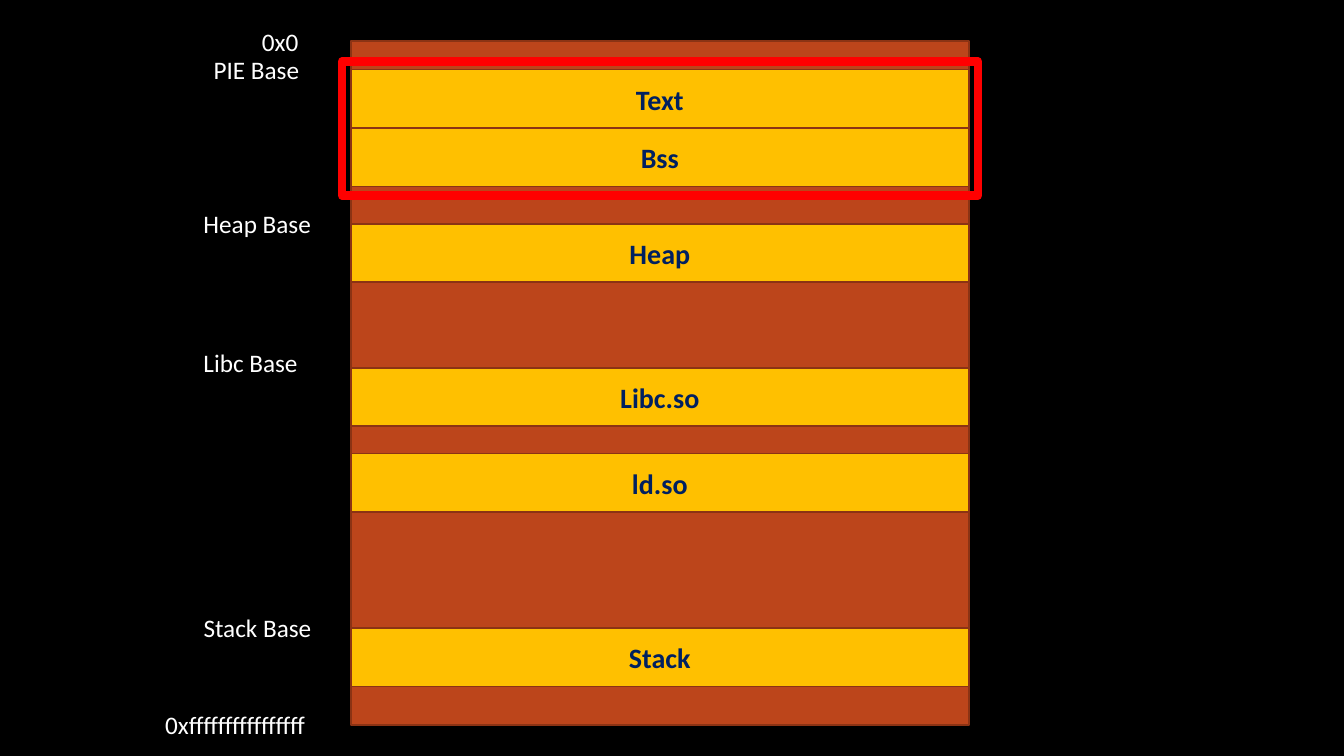
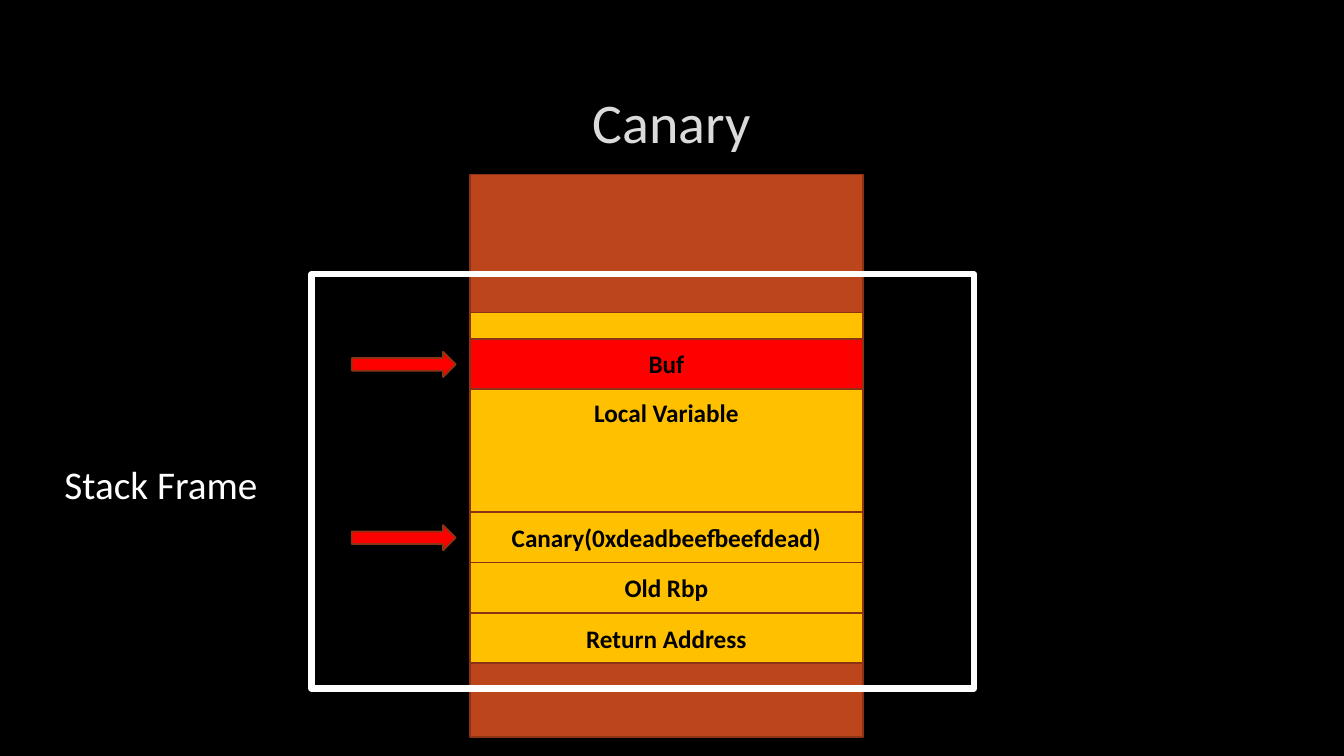
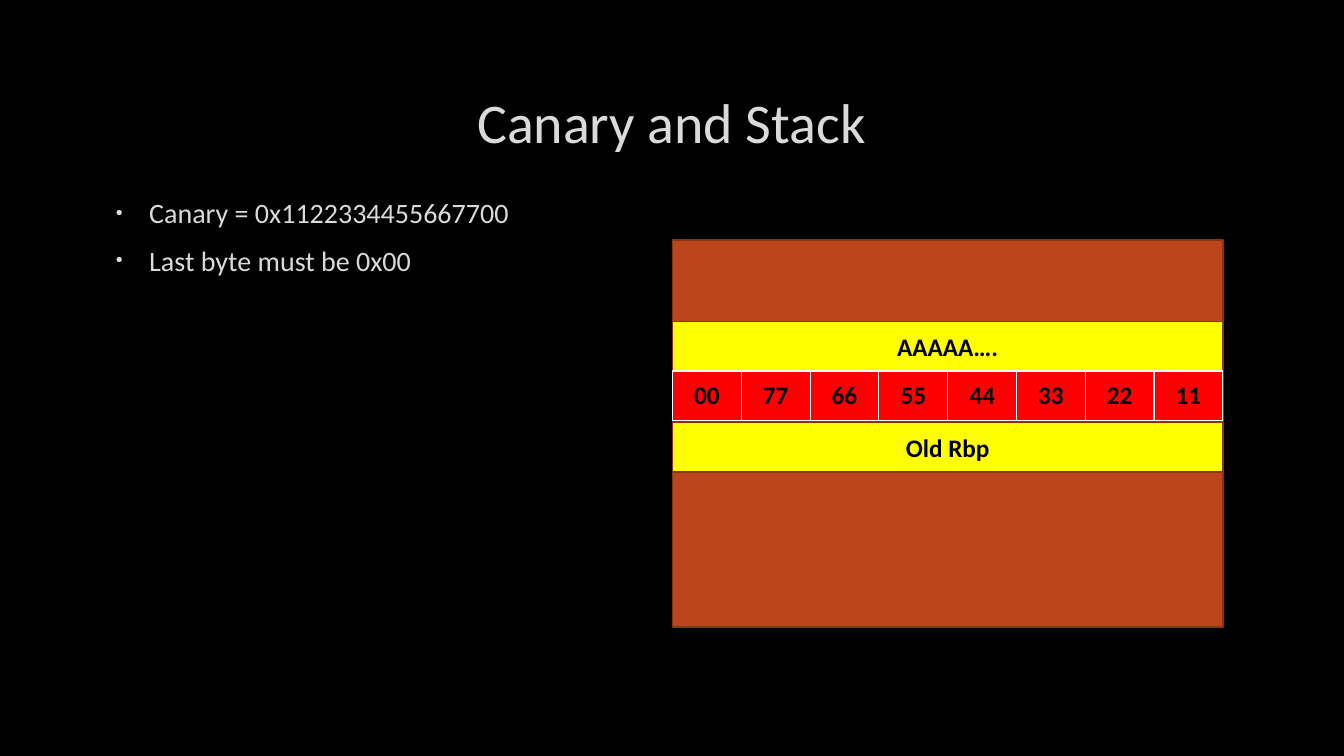
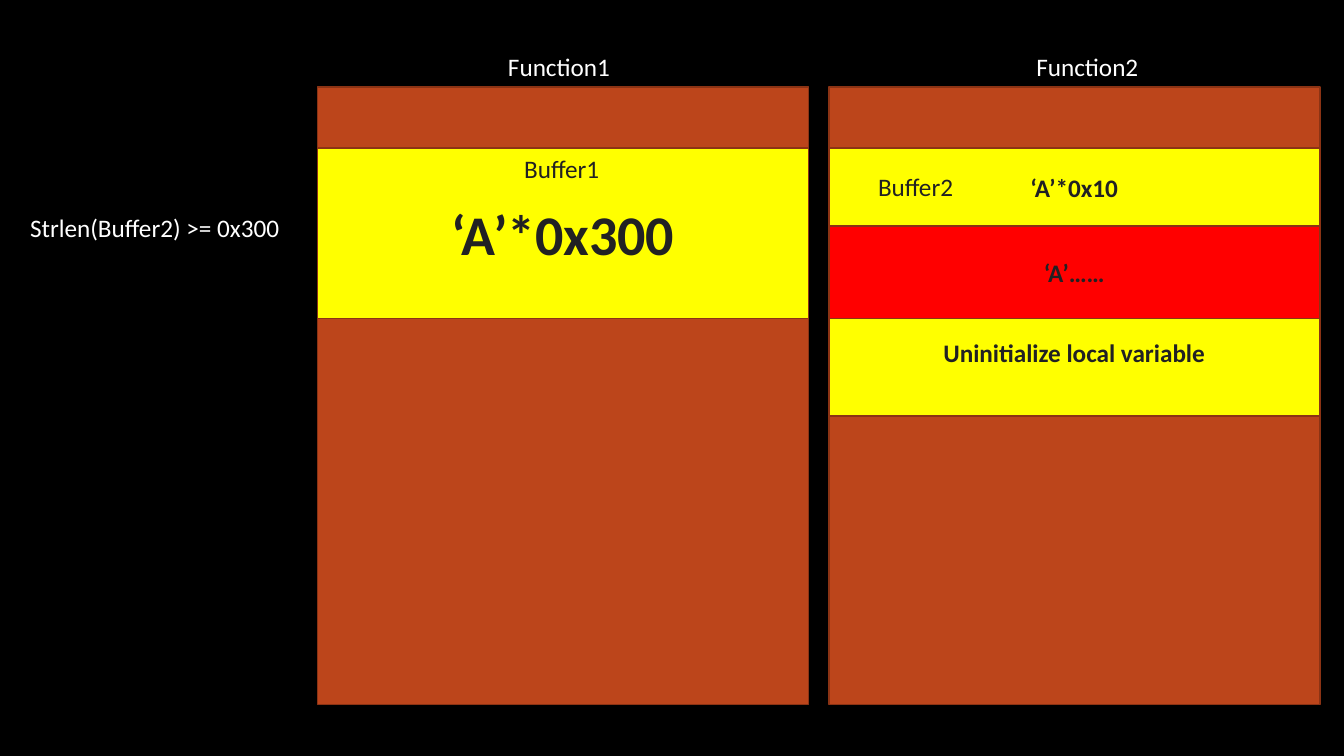
from lxml import etree
from pptx import Presentation
from pptx.dml.color import RGBColor
from pptx.enum import shapes, text
from pptx.oxml import ns
from pptx.util import Inches, Pt

BLACK, WHITE, RED = "000000", "FFFFFF", "FF0000"
UNMAPPED, EDGE = "BC451B", "8B3314"
AMBER, YELLOW = "FFC000", "FFFF00"
NAVY, PALE, CHARCOAL = "002060", "DADADA", "212123"
FONT = "Calibri"
LABEL_HEIGHT = 0.4
TITLE_AREA = (1, 0.67, 11.32, 1.06)
TITLE_ONLY, TITLE_AND_BODY, BLANK = 5, 1, 6


def rgb(value):
    return RGBColor.from_string(value)


def apply(target, values):
    for name, value in values.items():
        setattr(target, name, value)


def inches(area):
    return [Inches(length) for length in area]


def write(paragraph, words, size, color, bold=False):
    run = paragraph.add_run()
    run.text = words
    apply(run.font, {"name": FONT, "size": Pt(size), "bold": bold})
    run.font.color.rgb = rgb(color)


def add_block(slide, area, fill=None, line=EDGE, weight=1.25,
              preset=shapes.MSO_SHAPE.RECTANGLE):
    block = slide.shapes.add_shape(preset, *inches(area))
    block.shadow.inherit = False
    if fill:
        block.fill.solid()
        block.fill.fore_color.rgb = rgb(fill)
    else:
        block.fill.background()
    block.line.color.rgb = rgb(line)
    block.line.width = Pt(weight)
    return block


def add_segment(slide, area, words, fill, size=18, color=BLACK, inset=0.05):
    """Add a filled block with bold centred words; inset is its top margin."""
    segment = add_block(slide, area, fill)
    apply(segment.text_frame, {"word_wrap": True, "margin_top": Inches(inset),
                               "vertical_anchor": text.MSO_ANCHOR.MIDDLE})
    paragraph = segment.text_frame.paragraphs[0]
    paragraph.alignment = text.PP_ALIGN.CENTER
    write(paragraph, words, size, color, bold=True)


def add_column(slide, area, segments, **style):
    """Add a memory column; segments are (offset, height, words, fill)."""
    left, top, width, _ = area
    add_block(slide, area, UNMAPPED)
    for offset, height, words, fill in segments:
        add_segment(slide, (left, top + offset, width, height), words, fill, **style)


def add_label(slide, left, top, width, words, size=18, color=WHITE, height=LABEL_HEIGHT):
    label = slide.shapes.add_textbox(*inches((left, top, width, height)))
    label.text_frame.word_wrap = False
    write(label.text_frame.paragraphs[0], words, size, color)


def add_title(slide, words):
    title = slide.shapes.title
    apply(title, dict(zip(("left", "top", "width", "height"), inches(TITLE_AREA))))
    title.text_frame.vertical_anchor = text.MSO_ANCHOR.MIDDLE
    paragraph = title.text_frame.paragraphs[0]
    paragraph.alignment = text.PP_ALIGN.CENTER
    write(paragraph, words, 40, PALE)


def add_bullet(paragraph):
    properties = paragraph._p.get_or_add_pPr()
    properties.set("marL", str(Inches(0.38)))
    properties.set("indent", str(Inches(-0.33)))
    color = etree.SubElement(properties, ns.qn("a:buClr"))
    etree.SubElement(color, ns.qn("a:srgbClr"), val=PALE)
    etree.SubElement(properties, ns.qn("a:buSzPct"), val="70000")
    etree.SubElement(properties, ns.qn("a:buFont"), typeface="Arial")
    etree.SubElement(properties, ns.qn("a:buChar"), char="•")


def fill_body(slide, area, points):
    body = slide.placeholders[1]
    apply(body, dict(zip(("left", "top", "width", "height"), inches(area))))
    frame = body.text_frame
    for index, point in enumerate(points):
        paragraph = frame.add_paragraph() if index else frame.paragraphs[0]
        apply(paragraph, {"space_before": Pt(4), "space_after": Pt(6)})
        add_bullet(paragraph)
        write(paragraph, point, 20, PALE)


def add_cell_borders(cell):
    properties = cell._tc.get_or_add_tcPr()
    for index, side in enumerate(("lnL", "lnR", "lnT", "lnB")):
        border = etree.Element(ns.qn(f"a:{side}"), w=str(Pt(1)))
        solid = etree.SubElement(border, ns.qn("a:solidFill"))
        etree.SubElement(solid, ns.qn("a:srgbClr"), val=WHITE)
        properties.insert(index, border)


def add_byte_table(slide, area, values):
    table = slide.shapes.add_table(1, len(values), *inches(area)).table
    apply(table, {"first_row": False, "horz_banding": False})
    for column, cell, value in zip(table.columns, table.iter_cells(), values):
        column.width = Inches(area[2] / len(values))
        cell.fill.solid()
        cell.fill.fore_color.rgb = rgb(RED)
        cell.vertical_anchor = text.MSO_ANCHOR.MIDDLE
        add_cell_borders(cell)
        paragraph = cell.text_frame.paragraphs[0]
        paragraph.alignment = text.PP_ALIGN.CENTER
        write(paragraph, value, 18, BLACK, bold=True)


def memory_map_slide(slide):
    left, top, width, height = area = (3.48, 0.41, 6.13, 6.78)
    offsets = {"Text": 0.28, "Bss": 0.86, "Heap": 1.81,
               "Libc.so": 3.24, "ld.so": 4.09, "Stack": 5.82}
    add_column(slide, area,
               [(offset, 0.58, words, AMBER) for words, offset in offsets.items()],
               size=20, color=NAVY)
    add_block(slide, (left - 0.09, top + 0.2, width + 0.18, 1.33), line=RED, weight=6)
    for words, label_left, offset, label_width in (
            ("0x0", 2.5, 0, 0.59),
            ("PIE Base", 2.02, offsets["Text"], 1.18),
            ("Heap Base", 1.92, offsets["Heap"], 1.34),
            ("Libc Base", 1.92, offsets["Libc.so"] - 0.05, 1.24),
            ("Stack Base", 1.92, offsets["Stack"], 1.35),
            ("0xffffffffffffffff", 1.54, height, 1.67)):
        add_label(slide, label_left, top + offset - LABEL_HEIGHT / 2, label_width, words)


def canary_slide(slide):
    add_title(slide, "Canary")
    left, top, _, _ = area = (4.66, 1.73, 3.9, 5.58)
    row, buffer_offset, canary_offset = 0.5, 1.63, 3.35
    add_column(slide, area, [
        (1.37, 1.98, "Local Variable", AMBER),
        (buffer_offset, row, "Buf", RED),
        (canary_offset, row, "Canary(0xdeadbeefbeefdead)", AMBER),
        (canary_offset + row, row, "Old Rbp", AMBER),
        (canary_offset + 2 * row, row, "Return Address", AMBER)])
    for offset in (buffer_offset, canary_offset):
        add_block(slide, (left - 1.17, top + offset + 0.13, 1.03, 0.25), RED,
                  preset=shapes.MSO_SHAPE.RIGHT_ARROW)
    add_label(slide, 0.54, 4.52, 2.29, "Stack Frame", size=28, height=0.57)
    add_block(slide, (left - 1.57, top + 0.99, 6.57, 4.11), line=WHITE, weight=4.5)


def canary_bytes_slide(slide):
    add_title(slide, "Canary and Stack")
    fill_body(slide, (1, 1.89, 11.32, 4.44),
              ["Canary = 0x1122334455667700", "Last byte must be 0x00"])
    left, top, width, _ = area = (6.67, 2.38, 5.46, 3.84)
    row = 0.49
    add_column(slide, area, [(0.81, row, "AAAAA….", YELLOW),
                             (1.81, row, "Old Rbp", YELLOW)])
    add_byte_table(slide, (left, top + 1.3, width, row),
                   ["00", "77", "66", "55", "44", "33", "22", "11"])


def uninitialized_slide(slide):
    top, width, height = 0.86, 4.87, 6.13
    first, second = 3.15, 8.22
    add_column(slide, (first, top, width, height),
               [(0.61, 1.69, "‘A’*0x300", YELLOW)], size=40, color=CHARCOAL)
    add_column(slide, (second, top, width, height),
               [(0.61, 0.77, "‘A’*0x10", YELLOW)], color=CHARCOAL)
    add_segment(slide, (second, top + 1.38, width, 1.89), "Uninitialize local variable",
                YELLOW, color=CHARCOAL, inset=0.67)
    add_segment(slide, (second, top + 1.38, width, 0.92), "‘A’……", RED, color=CHARCOAL)
    add_label(slide, first + 1.95, top + 0.61, 0.99, "Buffer1", color=CHARCOAL)
    add_label(slide, second + 0.39, top + 0.79, 0.99, "Buffer2", color=CHARCOAL)
    add_label(slide, first + 1.79, top - LABEL_HEIGHT, 1.3, "Function1")
    add_label(slide, second + 1.96, top - LABEL_HEIGHT, 1.3, "Function2")
    add_label(slide, 0.2, 2.06, 2.89, "Strlen(Buffer2) >= 0x300")


def main():
    deck = Presentation()
    apply(deck, {"slide_width": Inches(13.33), "slide_height": Inches(7.5)})
    backdrop = deck.slide_master.background.fill
    backdrop.solid()
    backdrop.fore_color.rgb = rgb(BLACK)
    for layout, build in ((BLANK, memory_map_slide), (TITLE_ONLY, canary_slide),
                          (TITLE_AND_BODY, canary_bytes_slide),
                          (BLANK, uninitialized_slide)):
        build(deck.slides.add_slide(deck.slide_layouts[layout]))
    deck.save("out.pptx")


if __name__ == "__main__":
    main()
